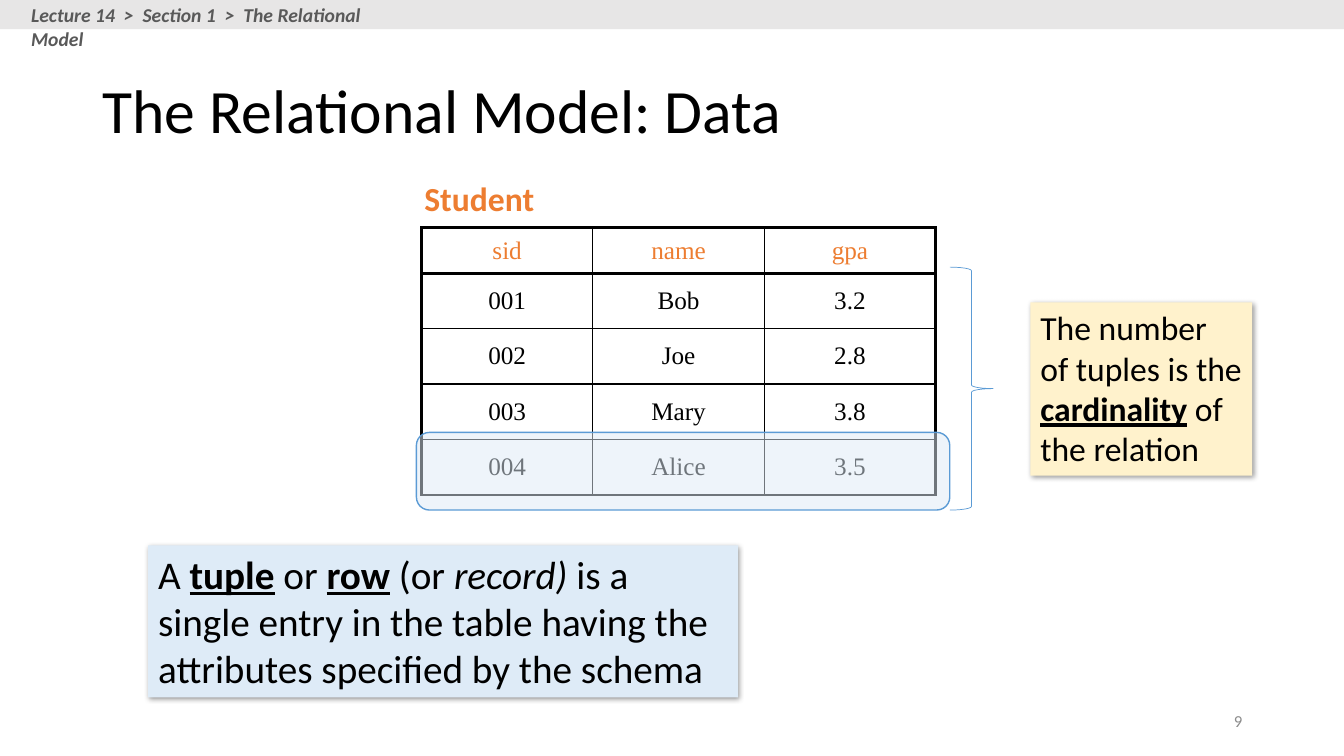
from lxml import etree
from pptx import Presentation
from pptx.dml.color import RGBColor
from pptx.enum.shapes import MSO_SHAPE
from pptx.enum.text import MSO_ANCHOR, PP_ALIGN
from pptx.oxml.ns import qn
from pptx.util import Inches, Pt

RECTANGLE = MSO_SHAPE.RECTANGLE
ROUNDED_RECTANGLE = MSO_SHAPE.ROUNDED_RECTANGLE
LEFT_BRACE = MSO_SHAPE.LEFT_BRACE
TOP, MIDDLE = MSO_ANCHOR.TOP, MSO_ANCHOR.MIDDLE
LEFT, CENTER, RIGHT = PP_ALIGN.LEFT, PP_ALIGN.CENTER, PP_ALIGN.RIGHT

BLACK, ORANGE, BLUE, PALE_BLUE = "000000", "ED7D31", "5B9BD5", "DEEBF7"
HEADINGS = ["sid", "name", "gpa"]
STUDENTS = [
    ["001", "Bob", "3.2"],
    ["002", "Joe", "2.8"],
    ["003", "Mary", "3.8"],
    ["004", "Alice", "3.5"],
]


def color(value):
    return RGBColor.from_string(value)


def add_color_element(parent, value, alpha=None):
    element = etree.SubElement(parent, qn("a:srgbClr"), val=value)
    if alpha is not None:
        etree.SubElement(element, qn("a:alpha"), val=str(alpha * 1000))


def style_font(paragraph, size, value, name="Calibri", bold=False, italic=False):
    font = paragraph.font
    font.name, font.size = name, Pt(size)
    font.bold, font.italic = bold, italic
    font.color.rgb = color(value)


def add_text(slide, box, text, size, value, align=LEFT, anchor=TOP, wrap=True, **style):
    frame = slide.shapes.add_textbox(*map(Inches, box)).text_frame
    frame.word_wrap = wrap
    frame.vertical_anchor = anchor
    paragraph = frame.paragraphs[0]
    paragraph.text = text
    paragraph.alignment = align
    style_font(paragraph, size, value, **style)
    return paragraph


def add_shape(slide, kind, box, fill=None, line=None, width=1):
    shape = slide.shapes.add_shape(kind, *map(Inches, box))
    shape.shadow.inherit = False
    if fill:
        shape.fill.solid()
        shape.fill.fore_color.rgb = color(fill)
    else:
        shape.fill.background()
    if line:
        shape.line.color.rgb = color(line)
        shape.line.width = Pt(width)
    else:
        shape.line.fill.background()
    return shape


def add_note(slide, box, fill, size, runs):
    """Add a shaded box whose runs are (text, emphasis) pairs."""
    shape = add_shape(slide, RECTANGLE, box, fill)
    effects = shape._element.spPr.find(qn("a:effectLst"))
    shadow = etree.SubElement(effects, qn("a:outerShdw"), blurRad=str(Pt(4)),
                              dist=str(Pt(1.4)), dir="2700000", algn="tl", rotWithShape="0")
    add_color_element(shadow, BLACK, 40)
    frame = shape.text_frame
    frame.word_wrap = True
    frame.vertical_anchor = TOP
    paragraph = frame.paragraphs[0]
    paragraph.alignment = LEFT
    style_font(paragraph, size, BLACK)
    for text, emphasis in runs:
        run = paragraph.add_run()
        run.text = text
        if emphasis == "key":
            run.font.bold = run.font.underline = True
        elif emphasis == "italic":
            run.font.italic = True


def set_borders(cell, widths):
    properties = cell._tc.get_or_add_tcPr()
    for position, (side, width) in enumerate(widths.items()):
        border = etree.Element(qn(f"a:ln{side}"), w=str(Pt(width)))
        add_color_element(etree.SubElement(border, qn("a:solidFill")), BLACK)
        properties.insert(position, border)


def add_student_table(slide, left, top):
    column_width, heading_height, row_height = 1.7, 0.45, 0.55
    rows = [HEADINGS] + STUDENTS
    last_row, last_column = len(STUDENTS), len(HEADINGS) - 1
    box = (left, top, column_width * len(HEADINGS), heading_height + row_height * last_row)
    table = slide.shapes.add_table(len(rows), len(HEADINGS), *map(Inches, box)).table
    table.first_row = table.horz_banding = False
    for column in table.columns:
        column.width = Inches(column_width)
    for row_index, values in enumerate(rows):
        table.rows[row_index].height = Inches(row_height if row_index else heading_height)
        for column_index, value in enumerate(values):
            cell = table.cell(row_index, column_index)
            cell.fill.background()
            cell.vertical_anchor = MIDDLE
            paragraph = cell.text_frame.paragraphs[0]
            paragraph.text = value
            paragraph.alignment = CENTER
            style_font(paragraph, 18, BLACK if row_index else ORANGE, "Times New Roman")
            # Heavy lines frame the table and its heading row
            heavy = {
                "L": column_index == 0,
                "R": column_index == last_column,
                "T": row_index <= 1,
                "B": row_index in (0, last_row),
            }
            set_borders(cell, {side: 2.25 if thick else 1 for side, thick in heavy.items()})


def add_relation(slide, left, top):
    """Add the table with its name, the marked row and the brace."""
    add_student_table(slide, left + 0.07, top + 0.54)
    add_text(slide, (left, top, 1.31, 0.5), "Student", 24, ORANGE, wrap=False, bold=True)
    brace = add_shape(slide, LEFT_BRACE, (left + 5.31, top + 0.93, 0.43, 2.41),
                      line=BLUE, width=0.5)
    brace.rotation = 180
    marker = add_shape(slide, ROUNDED_RECTANGLE, (left + 0.02, top + 2.57, 5.29, 0.77),
                       PALE_BLUE, BLUE)
    marker_color = marker._element.spPr.find(qn("a:solidFill")).find(qn("a:srgbClr"))
    etree.SubElement(marker_color, qn("a:alpha"), val="50000")


def add_breadcrumb(slide, width):
    add_shape(slide, RECTANGLE, (0, 0, width, 0.29), "E7E6E6")
    add_text(slide, (0.21, -0.02, 3.96, 0.34),
             "Lecture 14  >  Section 1  >  The Relational Model",
             14, "595959", bold=True, italic=True)


def build_slide(presentation):
    slide = presentation.slides.add_slide(presentation.slide_layouts[6])
    # Page number and title
    add_text(slide, (9.42, 6.95, 3, 0.4), "9", 12, "8C8C8C", RIGHT, MIDDLE)
    title = add_text(slide, (0.92, 0.4, 11.5, 1.45), "The Relational Model: Data",
                     44, BLACK, anchor=MIDDLE)
    title.line_spacing = 0.9
    # Relation and its explanations
    add_relation(slide, 4.11, 1.72)
    add_note(slide, (1.47, 5.41, 5.85, 1.51), PALE_BLUE, 28, [
        ("A ", None), ("tuple", "key"), (" or ", None), ("row", "key"),
        (" (or ", None), ("record) ", "italic"),
        ("is a single entry in the table having the attributes specified by the schema", None),
    ])
    add_note(slide, (10.22, 3, 2.2, 1.72), "FFF2CC", 24, [
        ("The number of tuples is the ", None), ("cardinality", "key"),
        (" of the relation", None),
    ])
    # Header band
    add_breadcrumb(slide, 13.33)


def main():
    presentation = Presentation()
    presentation.slide_width = Inches(13.33)
    presentation.slide_height = Inches(7.5)
    build_slide(presentation)
    presentation.save("out.pptx")


if __name__ == "__main__":
    main()
